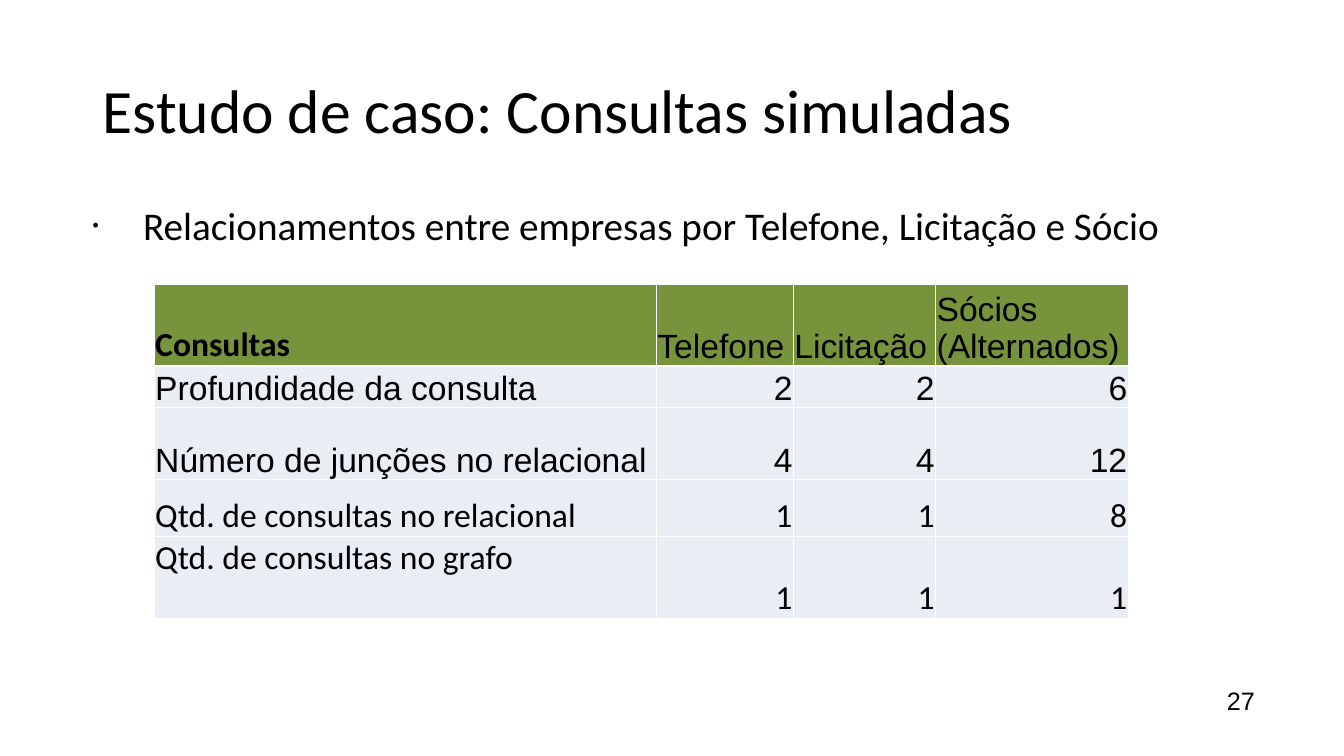
from dataclasses import dataclass

from lxml import etree
from pptx import Presentation
from pptx import util as u
from pptx.dml.color import RGBColor
from pptx.enum import text
from pptx.oxml import ns


@dataclass(frozen=True)
class Theme:
    ink: str = "000000"
    header_fill: str = "77933C"
    body_fill: str = "E9EDF4"
    border: str = "FFFFFF"
    heading_font: str = "Calibri"
    plain_font: str = "Arial"
    title_size: int = 44
    bullet_size: int = 28
    table_size: int = 24
    number_size: int = 18


@dataclass(frozen=True)
class QueryRow:
    label: str
    values: tuple[str, ...]
    height: float
    label_font: str
    value_font: str
    header: bool = False
    label_anchor: text.MSO_ANCHOR = text.MSO_ANCHOR.BOTTOM


THEME = Theme()
COLUMN_WIDTHS = (4.98, 1.36, 1.41, 1.91)
QUERY_ROWS = (
    QueryRow("Consultas", ("Telefone", "Licitação", "Sócios\n(Alternados)"), 0.74,
             THEME.heading_font, THEME.plain_font, header=True),
    QueryRow("Profundidade da consulta", ("2", "2", "6"), 0.38,
             THEME.plain_font, THEME.plain_font),
    QueryRow("Número de junções no relacional", ("4", "4", "12"), 0.72,
             THEME.plain_font, THEME.plain_font),
    QueryRow("Qtd. de consultas no relacional", ("1", "1", "8"), 0.56,
             THEME.heading_font, THEME.heading_font),
    QueryRow("Qtd. de consultas no grafo", ("1", "1", "1"), 0.82,
             THEME.heading_font, THEME.heading_font, label_anchor=text.MSO_ANCHOR.TOP),
)


def write_text(frame, content: str, *, size: int, font: str, bold: bool = False,
               align=text.PP_ALIGN.LEFT, line_spacing: float | None = None) -> None:
    """Fill a text frame, one paragraph per line of content."""
    frame.text = content
    for paragraph in frame.paragraphs:
        paragraph.alignment = align
        if line_spacing:
            paragraph.line_spacing = line_spacing
        for run in paragraph.runs:
            run.font.size = u.Pt(size)
            run.font.name = font
            run.font.bold = bold
            run.font.color.rgb = RGBColor.from_string(THEME.ink)


def add_text_box(slide, left: float, top: float, width: float, height: float,
                 inset: tuple[float, float] = (0.1, 0.05),
                 anchor=text.MSO_ANCHOR.TOP, wrap: bool = True):
    box = slide.shapes.add_textbox(*map(u.Inches, (left, top, width, height)))
    frame = box.text_frame
    frame.word_wrap = wrap
    frame.vertical_anchor = anchor
    frame.margin_left = frame.margin_right = u.Inches(inset[0])
    frame.margin_top = frame.margin_bottom = u.Inches(inset[1])
    return frame


def add_bullet(paragraph, indent: float, percent: int) -> None:
    properties = paragraph._p.get_or_add_pPr()
    properties.set("marL", str(u.Inches(indent)))
    properties.set("indent", str(-u.Inches(indent)))
    etree.SubElement(properties, ns.qn("a:buSzPct"), val=str(percent * 1000))
    etree.SubElement(properties, ns.qn("a:buFont"), typeface=THEME.plain_font)
    etree.SubElement(properties, ns.qn("a:buChar"), char="•")


def style_cell(cell, fill: str, anchor) -> None:
    cell.fill.solid()
    cell.fill.fore_color.rgb = RGBColor.from_string(fill)
    cell.vertical_anchor = anchor
    cell.margin_left = cell.margin_right = cell.margin_top = u.Inches(0.01)
    cell.margin_bottom = 0
    # Borders come before the fill in the cell properties
    properties = cell._tc.get_or_add_tcPr()
    for position, side in enumerate(("lnL", "lnR", "lnT", "lnB")):
        line = etree.Element(ns.qn(f"a:{side}"), w=str(u.Pt(1)))
        solid = etree.SubElement(line, ns.qn("a:solidFill"))
        etree.SubElement(solid, ns.qn("a:srgbClr"), val=THEME.border)
        properties.insert(position, line)


def add_query_table(slide, left: float, top: float) -> None:
    size = sum(COLUMN_WIDTHS), sum(row.height for row in QUERY_ROWS)
    table = slide.shapes.add_table(len(QUERY_ROWS), len(COLUMN_WIDTHS),
                                   *map(u.Inches, (left, top, *size))).table
    table.first_row = table.horz_banding = False
    for column, width in zip(table.columns, COLUMN_WIDTHS):
        column.width = u.Inches(width)
    for row_index, row in enumerate(QUERY_ROWS):
        table.rows[row_index].height = u.Inches(row.height)
        fill = THEME.header_fill if row.header else THEME.body_fill
        for column_index, content in enumerate((row.label, *row.values)):
            is_label = column_index == 0
            cell = table.cell(row_index, column_index)
            style_cell(cell, fill, row.label_anchor if is_label else text.MSO_ANCHOR.BOTTOM)
            write_text(cell.text_frame, content, size=THEME.table_size,
                       font=row.label_font if is_label else row.value_font,
                       bold=row.header and is_label,
                       align=text.PP_ALIGN.LEFT if row.header or is_label
                       else text.PP_ALIGN.RIGHT)


def main() -> None:
    presentation = Presentation()
    presentation.slide_width = u.Inches(13.33)
    presentation.slide_height = u.Inches(7.5)
    slide = presentation.slides.add_slide(presentation.slide_layouts[6])

    # Title
    title = add_text_box(slide, 0.92, 0.4, 11.5, 1.45, anchor=text.MSO_ANCHOR.MIDDLE)
    write_text(title, "Estudo de caso: Consultas simuladas", size=THEME.title_size,
               font=THEME.heading_font, line_spacing=0.9)

    # Bullet
    body = add_text_box(slide, 0.92, 2, 11.5, 4.76, inset=(0, 0))
    write_text(body, "Relacionamentos entre empresas por Telefone, Licitação e Sócio",
               size=THEME.bullet_size, font=THEME.heading_font)
    add_bullet(body.paragraphs[0], indent=0.5, percent=45)

    # Table of simulated queries
    add_query_table(slide, 1.53, 2.82)

    # Slide number
    number = add_text_box(slide, 12.07, 6.75, 0.48, 0.4, wrap=False)
    number.auto_size = text.MSO_AUTO_SIZE.SHAPE_TO_FIT_TEXT
    write_text(number, "27", size=THEME.number_size, font=THEME.plain_font)

    presentation.save("out.pptx")


if __name__ == "__main__":
    main()
